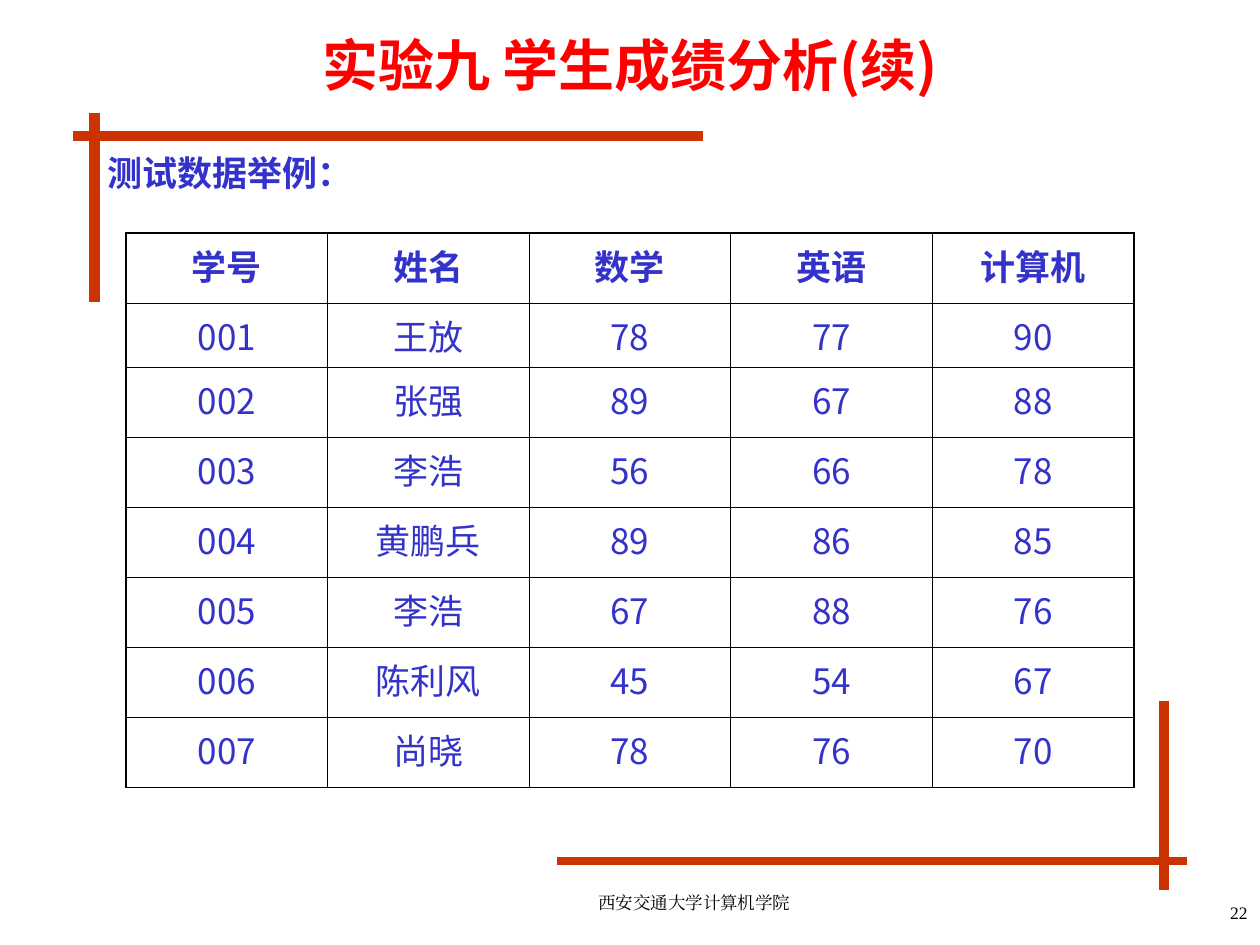
from dataclasses import dataclass

from lxml.etree import SubElement
from pptx import Presentation
from pptx.dml.color import RGBColor
from pptx.enum.shapes import MSO_CONNECTOR
from pptx.enum.text import MSO_ANCHOR, PP_ALIGN
from pptx.oxml.ns import qn
from pptx.util import Inches, Pt


@dataclass(frozen=True)
class Theme:
    title: str = "FF0000"
    text: str = "3333CC"
    rule: str = "CC3300"
    ink: str = "000000"
    sans: str = "Noto Sans CJK SC"
    serif: str = "Times New Roman"
    title_size: int = 32
    text_size: int = 20
    small_size: int = 10
    outer: float = 1.08
    inner: float = 0.45


def style(p, size, color, font, bold=False, align=PP_ALIGN.LEFT, before=0):
    p.alignment = align
    p.space_before = Pt(before)
    for r in p.runs:
        r.font.size = Pt(size)
        r.font.bold = bold
        r.font.color.rgb = RGBColor.from_string(color)
        r.font.name = font
        SubElement(r.font._element, qn("a:ea"), typeface=font)


def border(cell, side, width):
    ln = SubElement(cell._tc.get_or_add_tcPr(), qn(f"a:ln{side}"), w=str(Pt(width)))
    fill = SubElement(ln, qn("a:solidFill"))
    SubElement(fill, qn("a:srgbClr"), val=theme.ink)


theme = Theme()
prs = Presentation()
prs.slide_width, prs.slide_height = Inches(10), Inches(7.5)
s = prs.slides.add_slide(prs.slide_layouts[1])
title, body = s.placeholders

rules = [
    (0.58, 1.08, 5, 0, 6),
    (4.42, 6.83, 5, 0, 4.5),
    (0.75, 0.9, 0, 1.5, 6),
    (9.24, 5.56, 0, 1.5, 6),
]
for x, y, w, h, weight in rules:
    ends = [Inches(v) for v in (x, y, x + w, y + h)]
    rule = s.shapes.add_connector(MSO_CONNECTOR.STRAIGHT, *ends)
    rule.line.color.rgb = RGBColor.from_string(theme.rule)
    rule.line.width = Pt(weight)
    SubElement(rule._element.spPr, qn("a:effectLst"))

footers = [
    ("西安交通大学计算机学院", 3.42, 7.03, 4.18, 0.4, PP_ALIGN.CENTER),
    ("22", 9.56, 7.11, 0.44, 0.39, PP_ALIGN.RIGHT),
]
for text, x, y, w, h, align in footers:
    sp = s.shapes.add_textbox(Inches(x), Inches(y), Inches(w), Inches(h))
    tf = sp.text_frame
    tf.word_wrap = True
    tf.text = text
    style(tf.paragraphs[0], theme.small_size, theme.ink, theme.serif, align=align)

for sp, text, box in (
    (title, "实验九 学生成绩分析(续)", (0, 0, 10, 1.01)),
    (body, "测试数据举例：", (0.75, 1.15, 8.5, 5.6)),
):
    s.shapes.element.append(sp.element)
    sp.left, sp.top, sp.width, sp.height = [Inches(v) for v in box]
    sp.text_frame.text = text

title.text_frame.vertical_anchor = MSO_ANCHOR.MIDDLE
style(title.text_frame.paragraphs[0], theme.title_size, theme.title, theme.sans,
      True, PP_ALIGN.CENTER)
p = body.text_frame.paragraphs[0]
style(p, theme.text_size, theme.text, theme.sans, True, before=5)
pPr = p._p.get_or_add_pPr()
pPr.set("marL", str(Inches(0.38)))
pPr.set("indent", str(Inches(-0.38)))
SubElement(pPr, qn("a:buNone"))

scores = [
    ("学号", "姓名", "数学", "英语", "计算机"),
    ("001", "王放", "78", "77", "90"),
    ("002", "张强", "89", "67", "88"),
    ("003", "李浩", "56", "66", "78"),
    ("004", "黄鹏兵", "89", "86", "85"),
    ("005", "李浩", "67", "88", "76"),
    ("006", "陈利风", "45", "54", "67"),
    ("007", "尚晓", "78", "76", "70"),
]
rows, cols = len(scores), len(scores[0])
table = s.shapes.add_table(rows, cols, Inches(1), Inches(1.85),
                           Inches(8), Inches(4.4)).table
table.first_row = table.horz_banding = False
for i, record in enumerate(scores):
    table.rows[i].height = Inches(0.51 if i == 1 else 0.556)
    for j, value in enumerate(record):
        cell = table.cell(i, j)
        cell.text = value
        style(cell.text_frame.paragraphs[0], theme.text_size, theme.text, theme.sans,
              i == 0, PP_ALIGN.CENTER, 5)
        edges = {"L": j == 0, "R": j == cols - 1, "T": i == 0, "B": i == rows - 1}
        for side, outside in edges.items():
            border(cell, side, theme.outer if outside else theme.inner)
        cell.fill.background()

prs.save("out.pptx")
